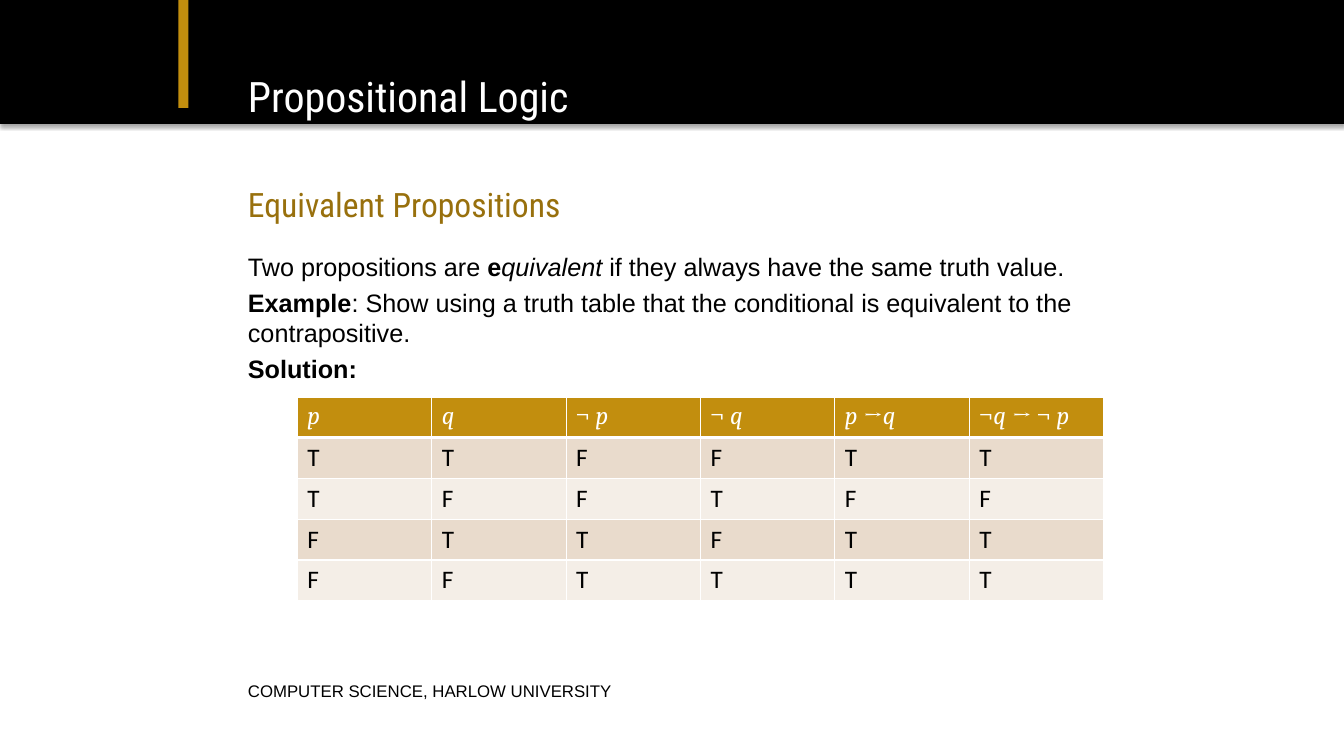
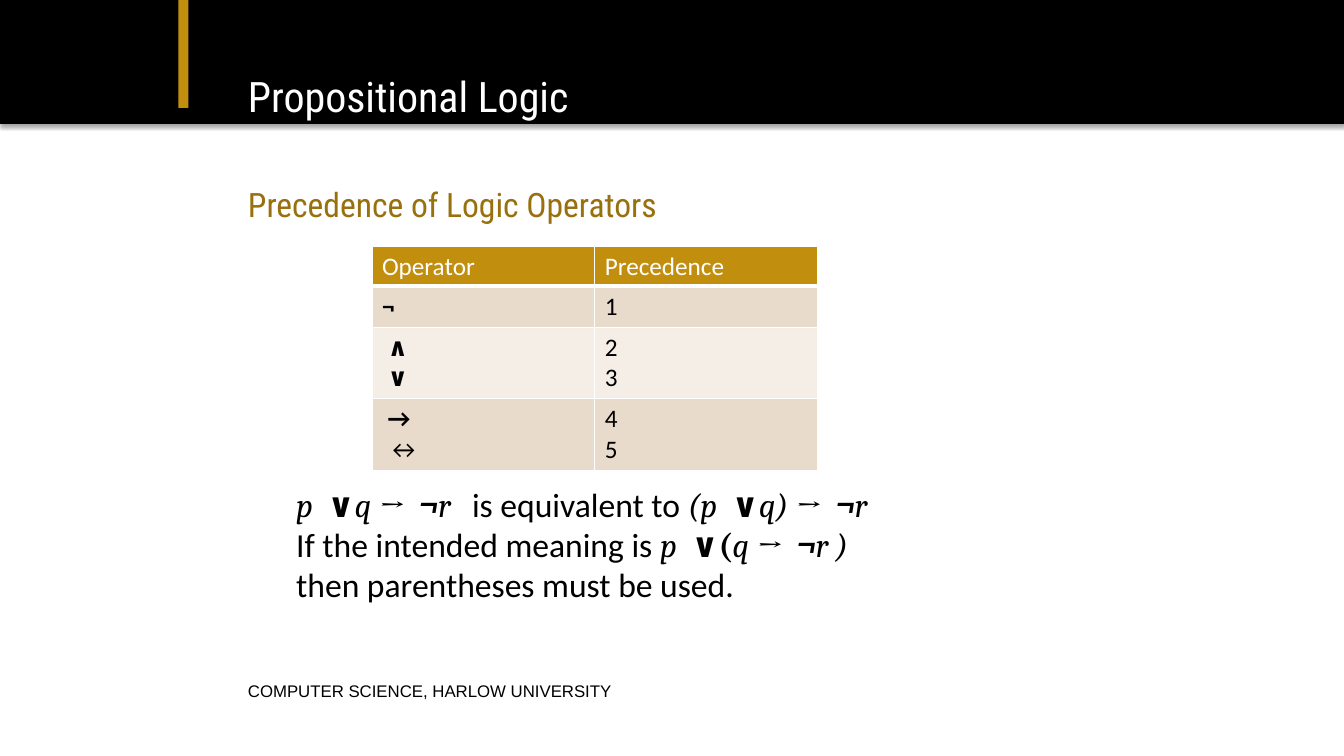
"""Build two slides on propositional logic: equivalence and operator precedence."""
from dataclasses import dataclass
from typing import Sequence

from lxml import etree
from pptx import Presentation
from pptx import util as u
from pptx.dml.color import RGBColor
from pptx.enum import shapes, text
from pptx.oxml.ns import qn

COLORS = {
    "black": "000000",
    "white": "FFFFFF",
    "gold": "C28E0E",
    "bronze": "98700D",
    "sand": "E9DBCC",
    "cream": "F4EEE7",
}
GRID = u.Inches(0.1)
SLIDE_COLUMNS, SLIDE_ROWS = 133.33, 75
TEXT_COLUMN, TEXT_COLUMNS = 24.6, 89
HEADER_BORDER, CELL_BORDER = 3, 1


@dataclass(frozen=True)
class Area:
    """A rectangle in grid columns and rows."""

    column: float
    row: float
    columns: float
    rows: float

    def lengths(self) -> tuple[int, ...]:
        """Return left, top, width and height."""
        return tuple(
            round(value * GRID)
            for value in (self.column, self.row, self.columns, self.rows)
        )


@dataclass(frozen=True)
class Style:
    """Base character format of a text."""

    size: int
    font: str
    color: str = "black"


@dataclass(frozen=True)
class Run:
    """Text with flags b and i, an optional font and extra spacing in points."""

    text: str
    flags: str = ""
    font: str = ""
    spacing: int = 0


Line = Sequence[Run]
Lines = Sequence[Line]


@dataclass(frozen=True)
class TableSpec:
    """Place, row heights, header and body of a table."""

    area: Area
    row_heights: Sequence[float]
    header: Sequence[Lines]
    header_font: str
    body: Sequence[Sequence[Lines]]


TITLE = Style(30, "Roboto Condensed", "white")
SUBTITLE = Style(24, "Roboto Condensed", "bronze")
FOOTER = Style(12, "Arial")
BODY = Style(18, "Arial")
FORMULA = Style(24, "Cambria")
CELL = Style(18, "Calibri")

BARS = (
    (Area(0, -0.1, SLIDE_COLUMNS, 12.4), "black"),
    (Area(17.7, 0, 1, 10.7), "gold"),
)
TITLE_AREA = Area(TEXT_COLUMN, 6.6, TEXT_COLUMNS, 5.8)
SUBTITLE_AREA = Area(TEXT_COLUMN, 17.9, TEXT_COLUMNS, 4.6)
FOOTER_AREA = Area(TEXT_COLUMN, 67.3, 67, 2.4)


def plain(value: str, flags: str = "") -> Lines:
    """Split a string into lines of one run each."""
    return [[Run(part, flags)] for part in value.split("\n")]


def rgb(color: str) -> RGBColor:
    """Look up a named colour."""
    return RGBColor.from_string(COLORS[color])


def write(text_frame, lines: Lines, style: Style, space_before: float = 0) -> None:
    """Write lines of formatted runs into a text frame."""
    text_frame.text = "\n" * (len(lines) - 1)
    for paragraph, line in zip(text_frame.paragraphs, lines):
        paragraph.space_before = u.Pt(space_before)
        for item in line:
            run = paragraph.add_run()
            run.text = item.text
            font = run.font
            font.size = u.Pt(style.size)
            font.name = item.font or style.font
            font.color.rgb = rgb(style.color)
            font.bold = "b" in item.flags
            font.italic = "i" in item.flags
            if item.spacing:
                run.font._element.set("spc", str(item.spacing * 100))


def add_text(
    slide,
    area: Area,
    lines: Lines,
    style: Style,
    anchor=text.MSO_ANCHOR.MIDDLE,
    space_before: float = 0,
    margins: tuple[float, float] = (0, 0),
) -> None:
    """Add a wrapping text box."""
    text_frame = slide.shapes.add_textbox(*area.lengths()).text_frame
    text_frame.word_wrap = True
    text_frame.vertical_anchor = anchor
    text_frame.margin_left = text_frame.margin_right = u.Inches(margins[0])
    text_frame.margin_top = text_frame.margin_bottom = u.Inches(margins[1])
    write(text_frame, lines, style, space_before)


def add_bar(slide, area: Area, color: str) -> None:
    """Add a filled bar with a soft shadow below it."""
    shape = slide.shapes.add_shape(shapes.MSO_SHAPE.RECTANGLE, *area.lengths())
    shape.fill.solid()
    shape.fill.fore_color.rgb = rgb(color)
    shape.line.fill.background()
    shape.shadow.inherit = False
    effects = shape._element.spPr.find(qn("a:effectLst"))
    shadow = etree.SubElement(
        effects,
        qn("a:outerShdw"),
        blurRad=str(u.Pt(3.1)),
        dist=str(u.Pt(1.8)),
        dir="5400000",
        rotWithShape="0",
    )
    shade = etree.SubElement(shadow, qn("a:srgbClr"), val=COLORS["black"])
    etree.SubElement(shade, qn("a:alpha"), val="35000")


def set_borders(cell, bottom: int) -> None:
    """Give a cell white borders."""
    properties = cell._tc.get_or_add_tcPr()
    for side in "LRTB":
        width = bottom if side == "B" else CELL_BORDER
        border = etree.SubElement(properties, qn(f"a:ln{side}"), w=str(u.Pt(width)))
        fill = etree.SubElement(border, qn("a:solidFill"))
        etree.SubElement(fill, qn("a:srgbClr"), val=COLORS["white"])


def add_table(slide, spec: TableSpec) -> None:
    """Add a table with a gold header and banded rows."""
    rows = [spec.header, *spec.body]
    column_count = len(spec.header)
    table = slide.shapes.add_table(
        len(rows), column_count, *spec.area.lengths()
    ).table
    for column in table.columns:
        column.width = round(spec.area.columns * GRID / column_count)
    header_style = Style(CELL.size, spec.header_font, "white")
    for row_index, row in enumerate(rows):
        table.rows[row_index].height = round(spec.row_heights[row_index] * GRID)
        is_header = row_index == 0
        color = "gold" if is_header else ("cream", "sand")[row_index % 2]
        for column_index, lines in enumerate(row):
            cell = table.cell(row_index, column_index)
            set_borders(cell, HEADER_BORDER if is_header else CELL_BORDER)
            cell.fill.solid()
            cell.fill.fore_color.rgb = rgb(color)
            write(cell.text_frame, lines, header_style if is_header else CELL)


def add_slide(presentation, subtitle: str):
    """Add a slide with the shared bars, title and footer."""
    slide = presentation.slides.add_slide(presentation.slide_layouts[6])
    for area, color in BARS:
        add_bar(slide, area, color)
    add_text(slide, TITLE_AREA, plain("Propositional Logic"), TITLE)
    add_text(slide, SUBTITLE_AREA, plain(subtitle), SUBTITLE)
    footer = plain("COMPUTER SCIENCE, HARLOW UNIVERSITY")
    add_text(slide, FOOTER_AREA, footer, FOOTER)
    return slide


def build_equivalence(presentation) -> None:
    """Build the slide on equivalent propositions."""
    slide = add_slide(presentation, "Equivalent Propositions")
    explanation = [
        [
            Run("Two propositions are "),
            Run("e", "b"),
            Run("quivalent ", "i"),
            Run("if they always have the same truth value."),
        ],
        [
            Run("Example", "b"),
            Run(
                ": Show using a truth table that the conditional is "
                "equivalent to the contrapositive."
            ),
        ],
        [Run("Solution:", "b")],
    ]
    area = Area(TEXT_COLUMN, 24.9, TEXT_COLUMNS, 37.4)
    add_text(slide, area, explanation, BODY, text.MSO_ANCHOR.TOP, 4)
    header = [
        plain("p", "i"),
        plain("q", "i"),
        [[Run("¬ "), Run("p", "i")]],
        [[Run("¬ "), Run("q", "i")]],
        [[Run("p ", "i"), Run("→"), Run("q", "i")]],
        [[Run("¬"), Run("q ", "i"), Run("→ ¬ "), Run("p", "i")]],
    ]
    truth_values = ("TTFFTT", "TFFTFF", "FTTFTT", "FFTTTT")
    body = [[plain(value) for value in row] for row in truth_values]
    heights = [3.9] + [4.05] * len(body)
    table_area = Area(29.5, 39.4, 80, sum(heights))
    add_table(slide, TableSpec(table_area, heights, header, "Cambria", body))


def build_precedence(presentation) -> None:
    """Build the slide on operator precedence."""
    slide = add_slide(presentation, "Precedence of Logic Operators")
    header = [plain("Operator"), plain("Precedence")]
    body = [
        [plain("¬", "b"), plain("1")],
        [plain(" ∧\n ∨", "b"), plain("2\n3")],
        [[[Run(" →", "b")], [Run(" ↔")]], plain("4\n5")],
    ]
    heights = [3.95, 4.05, 7.1, 7.1]
    table_area = Area(36.9, 24.4, 44.2, sum(heights))
    add_table(slide, TableSpec(table_area, heights, header, "Calibri", body))

    gap = Run(" ", spacing=5)
    wide_gap = Run(" ", spacing=10)
    implies_not = [Run("→", "bi"), gap, Run("¬", "bi")]
    remarks = [
        [
            Run("p", "i"), gap, Run("∨", "b"), Run("q ", "i"),
            *implies_not, Run("r", "i"), wide_gap,
            Run("is equivalent to ", font="Calibri"),
            Run("(p", "i"), gap, Run("∨", "b"), Run("q) ", "i"),
            *implies_not, Run("r", "i"),
        ],
        [
            Run("If the intended meaning is ", font="Calibri"),
            Run("p", "i"), gap, Run("∨(", "b"), Run("q ", "i"),
            *implies_not, Run("r )", "i"),
        ],
        [Run("then parentheses must be used.", font="Calibri")],
    ]
    area = Area(28.4, 47.5, 82.7, 13)
    add_text(
        slide, area, remarks, FORMULA, text.MSO_ANCHOR.TOP, margins=(0.1, 0.05)
    )


def main() -> None:
    """Build and save the presentation."""
    presentation = Presentation()
    presentation.slide_width = round(SLIDE_COLUMNS * GRID)
    presentation.slide_height = SLIDE_ROWS * GRID
    build_equivalence(presentation)
    build_precedence(presentation)
    presentation.save("out.pptx")


if __name__ == "__main__":
    main()
